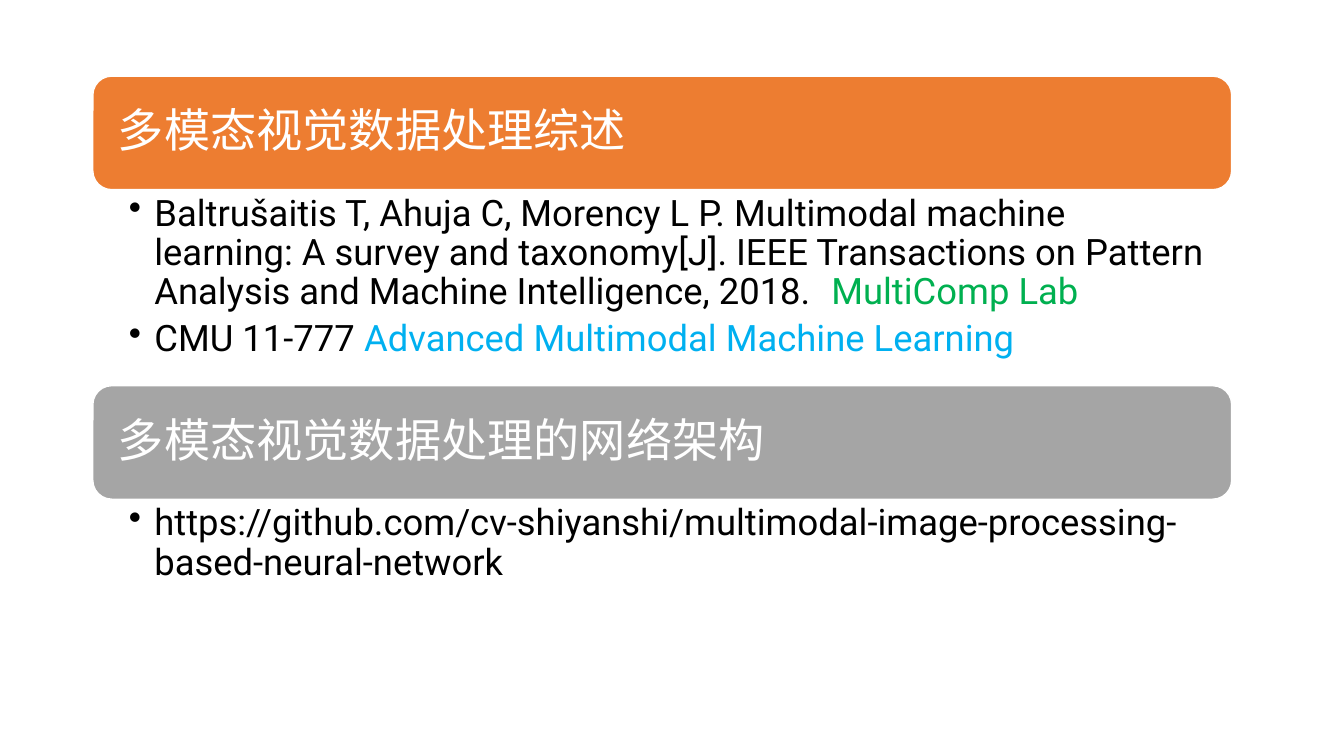
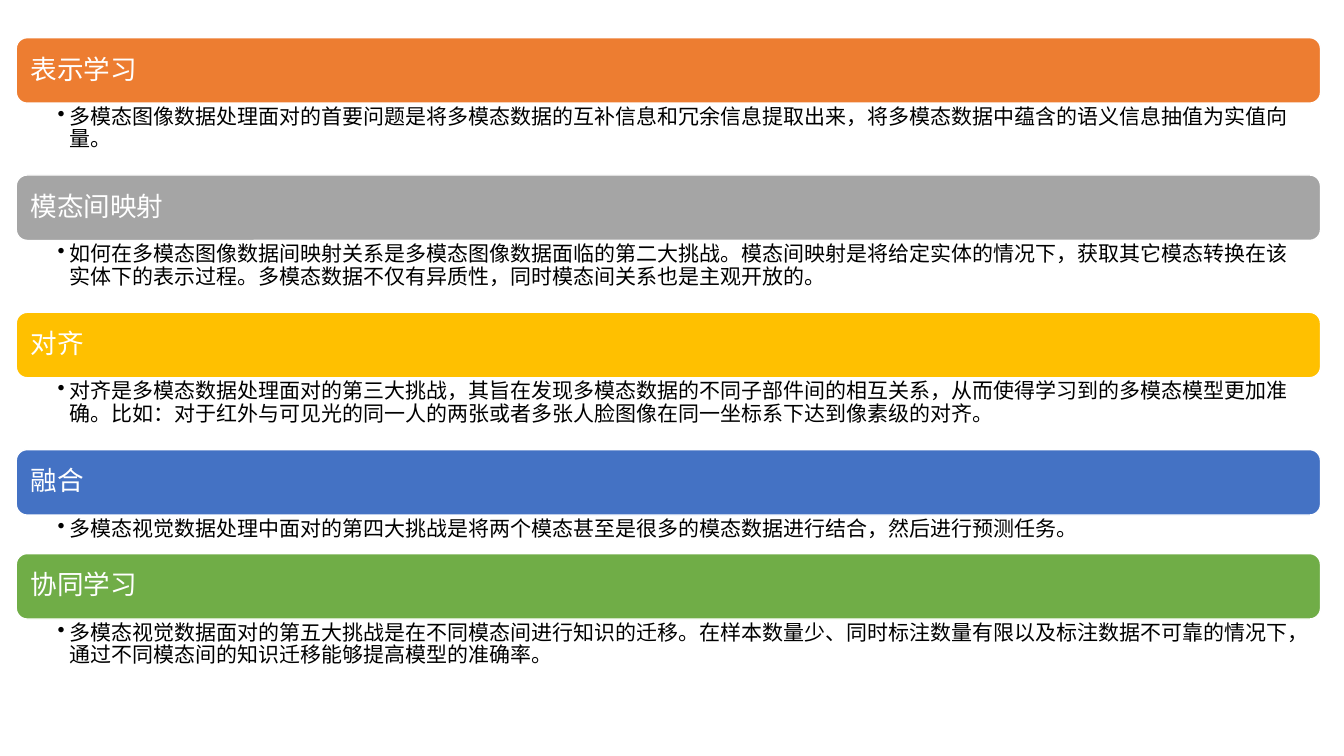
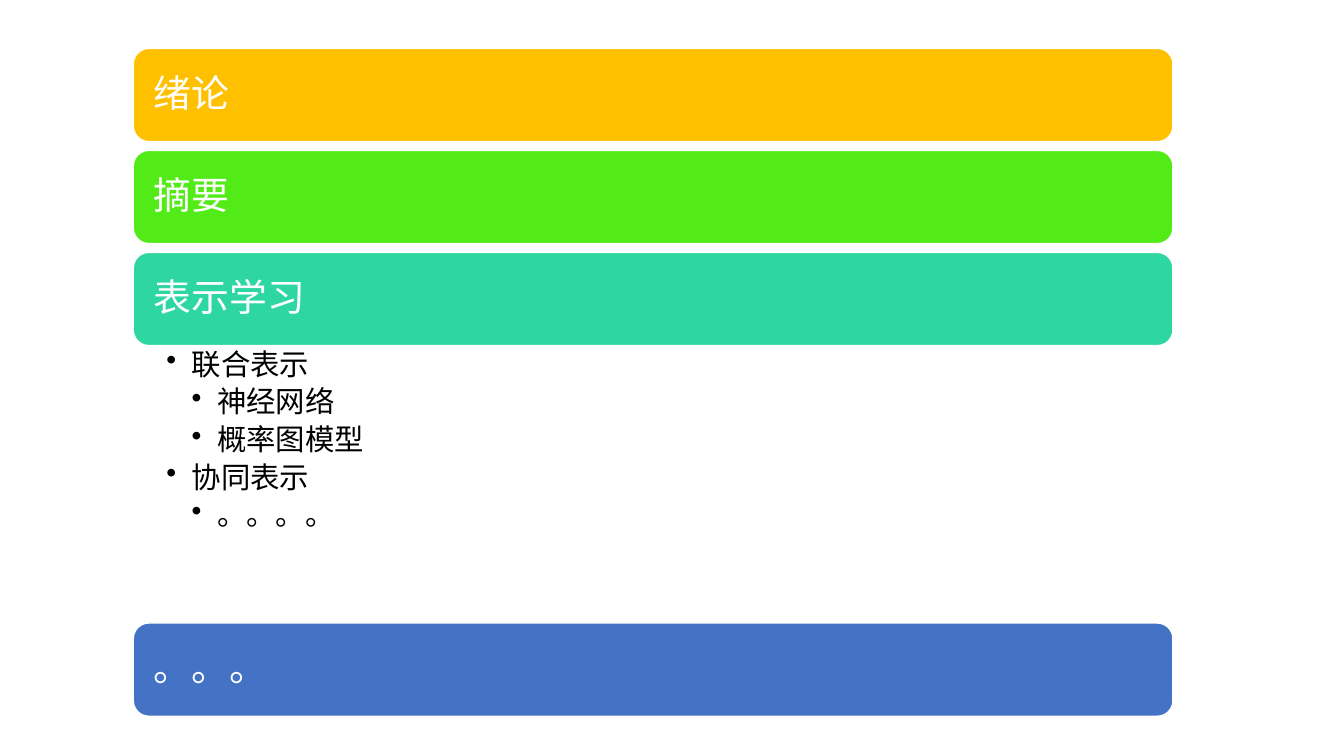
from dataclasses import dataclass

from lxml import etree
from pptx import Presentation
from pptx.dml.color import RGBColor
from pptx.enum.shapes import MSO_SHAPE
from pptx.enum.text import MSO_ANCHOR, PP_ALIGN
from pptx.oxml.ns import qn
from pptx.util import Cm, Pt

ROUND = MSO_SHAPE.ROUNDED_RECTANGLE
MIDDLE, TOP = MSO_ANCHOR.MIDDLE, MSO_ANCHOR.TOP
LEFT = PP_ALIGN.LEFT


@dataclass(frozen=True)
class Theme:
    """Colours, font and spacing shared by all slides."""
    font: str = "Roboto"
    white: str = "FFFFFF"
    black: str = "000000"
    orange: str = "ED7D31"
    gray: str = "A5A5A5"
    gold: str = "FFC000"
    blue: str = "4472C4"
    green: str = "70AD47"
    lime: str = "53EB17"
    teal: str = "2ED7A1"
    lab: str = "00B050"
    course: str = "00B0F0"
    line: float = 0.9
    bar_after: float = 0.35
    item_after: float = 0.2


@dataclass(frozen=True)
class Layout:
    """Frame of one list, in cm, with its type sizes in points."""
    left: float
    top: float
    width: float
    bar: float
    gap: float
    head: int
    body: int
    indent: float


THEME = Theme()
SURVEY = Layout(2.34, 1.92, 28.7, 2.86, 0, 33, 26, 0.64)
TASKS = Layout(0.41, 0.95, 32.87, 1.65, 0, 19, 15, 0.3)
OUTLINE = Layout(3.36, 1.22, 26.2, 2.35, 0.22, 27, 21, 0.64)


# Text helpers
def paint(run, size, color):
    font = run.font
    font.size = Pt(size)
    font.color.rgb = RGBColor.from_string(color)
    font.name = THEME.font
    props = run._r.get_or_add_rPr()
    etree.SubElement(props, qn("a:ea"), typeface=THEME.font)


def space(para, size, after):
    para.alignment = LEFT
    para.line_spacing = THEME.line
    para.space_after = Pt(round(size * after, 1))


def inset(frame, left, right, edge, anchor):
    frame.word_wrap = True
    frame.margin_left, frame.margin_right = Cm(left), Cm(right)
    frame.margin_top = frame.margin_bottom = Cm(edge)
    frame.vertical_anchor = anchor


def bullet(para, level, indent, tab):
    props = para._p.get_or_add_pPr()
    props.set("marL", str(Cm(indent * level)))
    props.set("indent", str(-Cm(indent)))
    etree.SubElement(props, qn("a:buChar"), char="•")
    if tab:
        tabs = etree.SubElement(props, qn("a:tabLst"))
        etree.SubElement(tabs, qn("a:tab"), pos=str(Cm(tab)), algn="l")


# List parts
def add_bar(slide, form, top, title, color):
    bar = slide.shapes.add_shape(
        ROUND, Cm(form.left), Cm(top), Cm(form.width), Cm(form.bar))
    bar.shadow.inherit = False
    bar.fill.solid()
    bar.fill.fore_color.rgb = RGBColor.from_string(color)
    bar.line.color.rgb = RGBColor.from_string(THEME.white)
    bar.line.width = Pt(1)
    frame = bar.text_frame
    pad = form.head * 0.015
    inset(frame, pad, pad, 0, MIDDLE)
    frame.text = title
    para = frame.paragraphs[0]
    space(para, form.head, THEME.bar_after)
    paint(para.runs[0], form.head, THEME.white)


def add_items(slide, form, top, height, items, tab):
    box = slide.shapes.add_textbox(
        Cm(form.left), Cm(top), Cm(form.width), Cm(height))
    frame = box.text_frame
    inset(frame, form.width * 0.03175, form.head * 0.02,
          form.body * 0.005, TOP)
    for num, (level, parts) in enumerate(items):
        para = frame.add_paragraph() if num else frame.paragraphs[0]
        bullet(para, level, form.indent, tab if num == 0 else 0)
        space(para, form.body, THEME.item_after)
        for text, color in parts:
            run = para.add_run()
            run.text = text
            paint(run, form.body, color)


def add_list(deck, form, rows, tab=0):
    """Stack bars, each followed by its items or by the plain gap."""
    slide = deck.slides.add_slide(deck.slide_layouts[6])
    top = form.top
    for title, color, height, items in rows:
        add_bar(slide, form, top, title, color)
        top += form.bar
        if items:
            add_items(slide, form, top, height, items, tab)
        top += height or form.gap


def item(text, level=1):
    return level, [(text, THEME.black)]


# Slides
def add_survey(deck):
    papers = [
        (1, [("Baltrušaitis T, Ahuja C, Morency L P. Multimodal machine "
              "learning: A survey and taxonomy[J]. IEEE Transactions on "
              "Pattern Analysis and Machine Intelligence, 2018.\t",
              THEME.black),
             ("MultiComp Lab", THEME.lab)]),
        (1, [("CMU 11-777 ", THEME.black),
             ("Advanced Multimodal Machine Learning", THEME.course)]),
    ]
    code = [item("https://github.com/cv-shiyanshi/"
                 "multimodal-image-processing-based-neural-network")]
    add_list(deck, SURVEY, [
        ("多模态视觉数据处理综述", THEME.orange, 4.94, papers),
        ("多模态视觉数据处理的网络架构", THEME.gray, 2.46, code),
    ], tab=17.7)


def add_tasks(deck):
    long, short = 1.81, 0.97
    rows = [
        ("表示学习", THEME.orange, long,
         "多模态图像数据处理面对的首要问题是将多模态数据的互补信息和冗余信息提取出来，"
         "将多模态数据中蕴含的语义信息抽值为实值向量。"),
        ("模态间映射", THEME.gray, long,
         "如何在多模态图像数据间映射关系是多模态图像数据面临的第二大挑战。"
         "模态间映射是将给定实体的情况下，获取其它模态转换在该实体下的表示过程。"
         "多模态数据不仅有异质性，同时模态间关系也是主观开放的。"),
        ("对齐", THEME.gold, long,
         "对齐是多模态数据处理面对的第三大挑战，其旨在发现多模态数据的不同子部件间的相互关系，"
         "从而使得学习到的多模态模型更加准确。"
         "比如：对于红外与可见光的同一人的两张或者多张人脸图像在同一坐标系下达到像素级的对齐。"),
        ("融合", THEME.blue, short,
         "多模态视觉数据处理中面对的第四大挑战是将两个模态甚至是很多的模态数据进行结合，"
         "然后进行预测任务。"),
        ("协同学习", THEME.green, long,
         "多模态视觉数据面对的第五大挑战是在不同模态间进行知识的迁移。"
         "在样本数量少、同时标注数量有限以及标注数据不可靠的情况下，"
         "通过不同模态间的知识迁移能够提高模型的准确率。"),
    ]
    add_list(deck, TASKS, [
        (title, color, height, [item(text)])
        for title, color, height, text in rows])


def add_outline(deck):
    topics = [
        item("联合表示"),
        item("神经网络", 2),
        item("概率图模型", 2),
        item("协同表示"),
        item("。。。。", 2),
    ]
    add_list(deck, OUTLINE, [
        ("绪论", THEME.gold, 0, []),
        ("摘要", THEME.lime, 0, []),
        ("表示学习", THEME.teal, 6.99, topics),
        ("。。。", THEME.blue, 0, []),
    ])


def main():
    deck = Presentation()
    deck.slide_width, deck.slide_height = Cm(33.87), Cm(19.05)
    add_survey(deck)
    add_tasks(deck)
    add_outline(deck)
    deck.save("out.pptx")


if __name__ == "__main__":
    main()
